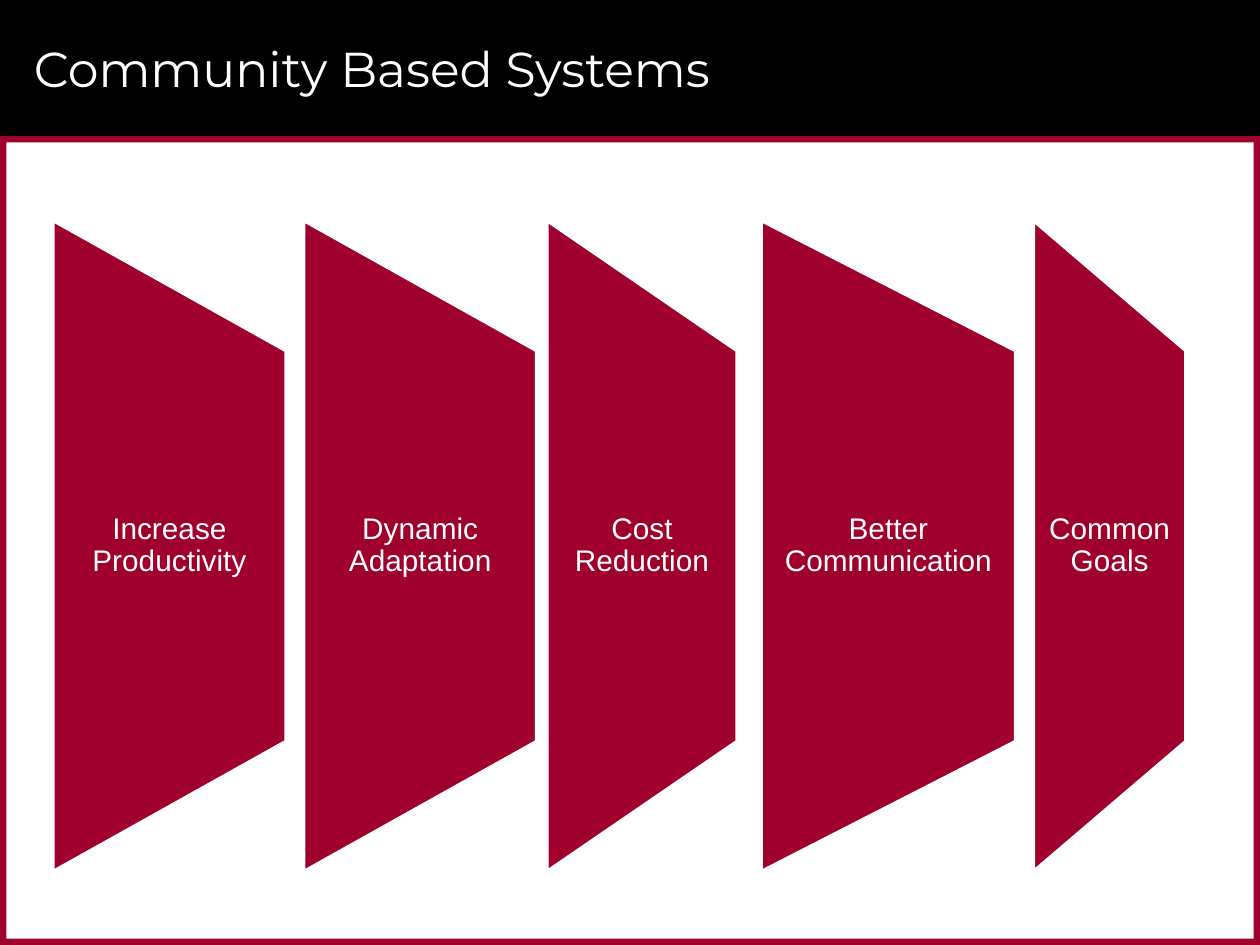
"""Build the Community Based Systems slide."""
from pptx import Presentation
from pptx.dml.color import RGBColor
from pptx.enum.shapes import MSO_SHAPE
from pptx.enum.text import MSO_ANCHOR, PP_ALIGN
from pptx.util import Pt

WIDE, HIGH = 720, 540
HEAD, EDGE = 77.75, 3.6
RED, BLACK, WHITE = "9F002D", "000000", "FFFFFF"
MID, LONG, TALL = 312, 372.25, 223.2
PANELS = [
    ("Increase Productivity", 30.25, 133.2),
    ("Dynamic Adaptation", 173.5, 133.2),
    ("Cost Reduction", 312.5, 108.7),
    ("Better Communication", 434.9, 145.5),
    ("Common Goals", 590.5, 87.1),
]


def paint(color):
    """Turn a hex string into a colour."""
    return RGBColor.from_string(color)


def block(slide, kind, left, top, width, height, fill, line=None):
    """Add a filled shape, with an outline if a line colour is given."""
    shape = slide.shapes.add_shape(kind, Pt(left), Pt(top), Pt(width), Pt(height))
    shape.shadow.inherit = False
    shape.fill.solid()
    shape.fill.fore_color.rgb = paint(fill)
    if line:
        shape.line.color.rgb = paint(line)
        shape.line.width = Pt(2)
    else:
        shape.line.fill.background()
    return shape


def label(slide, text, left, top, width, height, *, size, font,
          color=WHITE, align=PP_ALIGN.LEFT, space=1.0, pad=(7.2, 3.6)):
    """Add a wrapped, vertically centred text box."""
    box = slide.shapes.add_textbox(Pt(left), Pt(top), Pt(width), Pt(height))
    frame = box.text_frame
    frame.word_wrap = True
    frame.vertical_anchor = MSO_ANCHOR.MIDDLE
    frame.margin_left = frame.margin_right = Pt(pad[0])
    frame.margin_top = frame.margin_bottom = Pt(pad[1])
    para = frame.paragraphs[0]
    para.text = text
    para.alignment = align
    para.line_spacing = space
    para.font.size = Pt(size)
    para.font.name = font
    para.font.color.rgb = paint(color)


def border(slide):
    """Draw the black header and the red frame below it."""
    body = HIGH - HEAD
    bars = [
        (0, 0, WIDE, HEAD, BLACK),
        (0, HEAD, WIDE, EDGE, RED),
        (0, HIGH - EDGE, WIDE, EDGE, RED),
        (WIDE - EDGE, HEAD, EDGE, body, RED),
        (0, HEAD, EDGE, body, RED),
    ]
    for bar in bars:
        block(slide, MSO_SHAPE.RECTANGLE, *bar)


def panel(slide, text, left, width):
    """Draw a tapered panel turned on its side, with its label."""
    shape = block(slide, MSO_SHAPE.FLOWCHART_MANUAL_OPERATION,
                  left + (width - LONG) / 2, MID - width / 2, LONG, width,
                  RED, WHITE)
    shape.rotation = 270
    label(slide, text, left, MID - TALL / 2, width, TALL, size=17,
          font="Arial", align=PP_ALIGN.CENTER, space=0.9, pad=(8.6, 0))


def main():
    """Build and save the slide."""
    deck = Presentation()
    deck.slide_width, deck.slide_height = Pt(WIDE), Pt(HIGH)
    slide = deck.slides.add_slide(deck.slide_layouts[6])
    border(slide)
    label(slide, "Community Based Systems", 12.25, 5.75, 678.25, 66.25,
          size=28, font="Montserrat")
    for item in PANELS:
        panel(slide, *item)
    deck.save("out.pptx")


if __name__ == "__main__":
    main()
